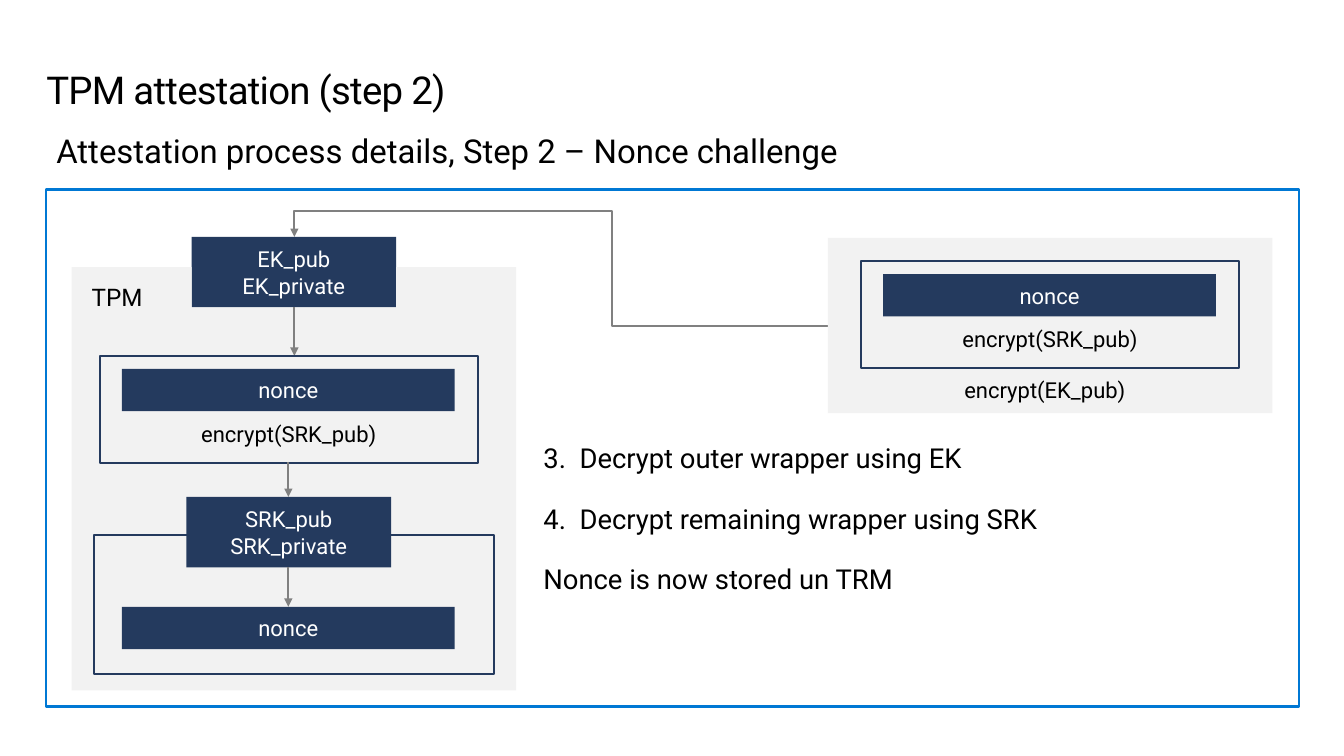
from lxml import etree
from pptx import Presentation
from pptx.dml.color import RGBColor
from pptx.enum.shapes import MSO_CONNECTOR, MSO_SHAPE
from pptx.enum.text import MSO_ANCHOR, PP_ALIGN
from pptx.oxml.ns import qn
from pptx.util import Inches, Pt

BLACK = RGBColor(0x00, 0x00, 0x00)
WHITE = RGBColor(0xFF, 0xFF, 0xFF)
NAVY = RGBColor(0x24, 0x3A, 0x5E)
BLUE = RGBColor(0x00, 0x78, 0xD4)
GRAY = RGBColor(0x80, 0x80, 0x80)
PALE = RGBColor(0xF2, 0xF2, 0xF2)

FONT = "Roboto"
LABEL_SIZE = 15.7
LINE_WIDTH = Pt(1.5)
WRAPPER_INSETS = (0.2, 0.16, 0.2, 0.16)


class DiagramSlide:
    """Holds the style and the slide being drawn; lengths are in inches."""

    def __init__(self, slide):
        """Keep the slide to draw on."""
        self.shapes = slide.shapes

    def label(self, shape, text, size, color=BLACK, align=PP_ALIGN.LEFT,
              anchor=MSO_ANCHOR.TOP, insets=(0, 0, 0, 0)):
        """Put one styled paragraph into a shape and return it."""
        frame = shape.text_frame
        frame.word_wrap = True
        frame.vertical_anchor = anchor
        (frame.margin_left, frame.margin_top,
         frame.margin_right, frame.margin_bottom) = map(Inches, insets)
        frame.text = text
        paragraph = frame.paragraphs[0]
        paragraph.alignment = align
        for run in paragraph.runs:
            run.font.name = FONT
            run.font.size = Pt(size)
            run.font.color.rgb = color
        return paragraph

    def text(self, left, top, width, height, text, size, insets=(0, 0, 0, 0)):
        """Add a text box and return its paragraph."""
        box = self.shapes.add_textbox(*map(Inches, (left, top, width, height)))
        return self.label(box, text, size, insets=insets)

    def paint(self, shape, fill=None, line=None):
        """Set fill and outline, leaving out whichever is not given."""
        shape.shadow.inherit = False
        if fill is None:
            shape.fill.background()
        else:
            shape.fill.solid()
            shape.fill.fore_color.rgb = fill
        if line is None:
            shape.line.fill.background()
        else:
            shape.line.color.rgb = line
            shape.line.width = LINE_WIDTH

    def rect(self, left, top, width, height, fill=None, line=None):
        """Add a rectangle."""
        shape = self.shapes.add_shape(
            MSO_SHAPE.RECTANGLE, *map(Inches, (left, top, width, height)))
        self.paint(shape, fill, line)
        return shape

    def caption(self, shape, text, insets):
        """Put a centred label at the bottom of a shape."""
        return self.label(shape, text, LABEL_SIZE, align=PP_ALIGN.CENTER,
                          anchor=MSO_ANCHOR.BOTTOM, insets=insets)

    def block(self, left, top, width, height, text):
        """Add a navy block with centred white text."""
        self.label(self.rect(left, top, width, height, fill=NAVY), text,
                   LABEL_SIZE, WHITE, PP_ALIGN.CENTER, MSO_ANCHOR.MIDDLE,
                   (0.1, 0.05, 0.1, 0.05))

    def key(self, left, top, name):
        """Add the block of a public and private key pair."""
        self.block(left, top, 2.03, 0.7, f"{name}_pub\v{name}_private")

    def nonce(self, left, top):
        """Add a nonce block."""
        self.block(left, top, 3.3, 0.42, "nonce")

    def wrapper(self, left, top):
        """Add a nonce wrapped by the SRK encryption."""
        outline = self.rect(left, top, 3.75, 1.06, line=NAVY)
        label = self.caption(outline, "encrypt(SRK_pub)", WRAPPER_INSETS)
        label.space_before = label.space_after = Pt(2.9)
        self.nonce(left + 0.22, top + 0.13)

    def polygon(self, points, fill):
        """Add a filled closed outline through the points."""
        corners = [tuple(map(Inches, point)) for point in points]
        builder = self.shapes.build_freeform(*corners[0])
        builder.add_line_segments(corners[1:], close=True)
        shape = builder.convert_to_shape()
        self.paint(shape, fill)
        return shape

    def connector(self, kind, begin, end, arrow):
        """Add a gray connector; arrow is headEnd or tailEnd."""
        link = self.shapes.add_connector(kind, *map(Inches, begin + end))
        link.line.color.rgb = GRAY
        link.line.width = LINE_WIDTH
        properties = link._element.spPr
        etree.SubElement(properties.find(qn("a:ln")), qn(f"a:{arrow}"),
                         type="triangle")
        etree.SubElement(properties, qn("a:effectLst"))
        return link

    def down_arrow(self, x, top, bottom):
        """Add a vertical arrow."""
        self.connector(MSO_CONNECTOR.STRAIGHT, (x, top), (x, bottom), "tailEnd")

    def bent_arrow(self, tip, start, rise, bend):
        """Add an arrow leaving start sideways and dropping onto tip.

        The preset is turned a quarter, so its width is the drop in height.
        """
        across, drop = start[0] - tip[0], start[1] - tip[1]
        middle_x, middle_y = (tip[0] + start[0]) / 2, (tip[1] + start[1]) / 2
        link = self.connector(
            MSO_CONNECTOR.ELBOW,
            (middle_x + drop / 2, middle_y - across / 2),
            (middle_x - drop / 2, middle_y + across / 2), "headEnd")
        properties = link._element.spPr
        properties.find(qn("a:xfrm")).set("rot", str(270 * 60000))
        geometry = properties.find(qn("a:prstGeom"))
        geometry.set("prst", "bentConnector4")
        guides = geometry.find(qn("a:avLst"))
        for name, ratio in (("adj1", -rise / drop), ("adj2", bend / across)):
            etree.SubElement(guides, qn("a:gd"), name=name,
                             fmla=f"val {round(ratio * 100000)}")


def draw_heading(page):
    """Draw the title, the subtitle and the frame."""
    title = page.text(0.46, 0.68, 12.41, 0.44, "TPM attestation (step 2)", 27.4)
    title.line_spacing = Pt(31.4)
    title.runs[0]._r.rPr.set("spc", "-50")
    subtitle = page.text(
        0.46, 1.3, 12.42, 0.4,
        "Attestation process details, Step 2 – Nonce challenge", 23.5,
        insets=(0.1, 0, 0, 0))
    subtitle.space_before, subtitle.space_after = Pt(2), Pt(4)
    page.rect(0.46, 1.88, 12.42, 5.13, line=BLUE)


def draw_tpm(page):
    """Draw the TPM and the two decryption steps inside it."""
    page.bent_arrow((2.92, 2.35), (8.21, 3.23), rise=0.26, bend=3.15)
    page.key(1.9, 2.35, "EK")
    tpm = page.polygon(
        [(0.71, 2.65), (1.9, 2.65), (1.9, 3.05), (3.93, 3.05),
         (3.93, 2.65), (5.12, 2.65), (5.12, 6.85), (0.71, 6.85)], PALE)
    page.label(tpm, "TPM", 17.3, insets=(0.2, 0.15, 0.2, 0.15))
    page.down_arrow(2.92, 3.05, 3.53)
    page.wrapper(0.99, 3.53)
    page.down_arrow(2.86, 4.58, 4.93)
    page.key(1.85, 4.93, "SRK")
    page.rect(0.93, 5.31, 3.97, 1.38, line=NAVY)
    page.down_arrow(2.86, 5.63, 6.02)
    page.nonce(1.21, 6.02)


def draw_challenge(page):
    """Draw the doubly encrypted nonce and the notes below it."""
    outer = page.rect(8.21, 2.36, 4.41, 1.74, fill=PALE)
    page.caption(outer, "encrypt(EK_pub)", (0.1, 0.05, 0.2, 0.1))
    page.wrapper(8.54, 2.59)
    notes = ("3.  Decrypt outer wrapper using EK",
             "4.  Decrypt remaining wrapper using SRK",
             "Nonce is now stored un TRM")
    for row, note in enumerate(notes):
        page.text(5.39, 4.38 + 0.6 * row, 5.13, 0.33, note, 19.6)


def main():
    """Build and save the presentation."""
    deck = Presentation()
    deck.slide_width, deck.slide_height = Inches(13.33), Inches(7.5)
    page = DiagramSlide(deck.slides.add_slide(deck.slide_layouts[6]))
    draw_heading(page)
    draw_tpm(page)
    draw_challenge(page)
    deck.save("out.pptx")


main()
